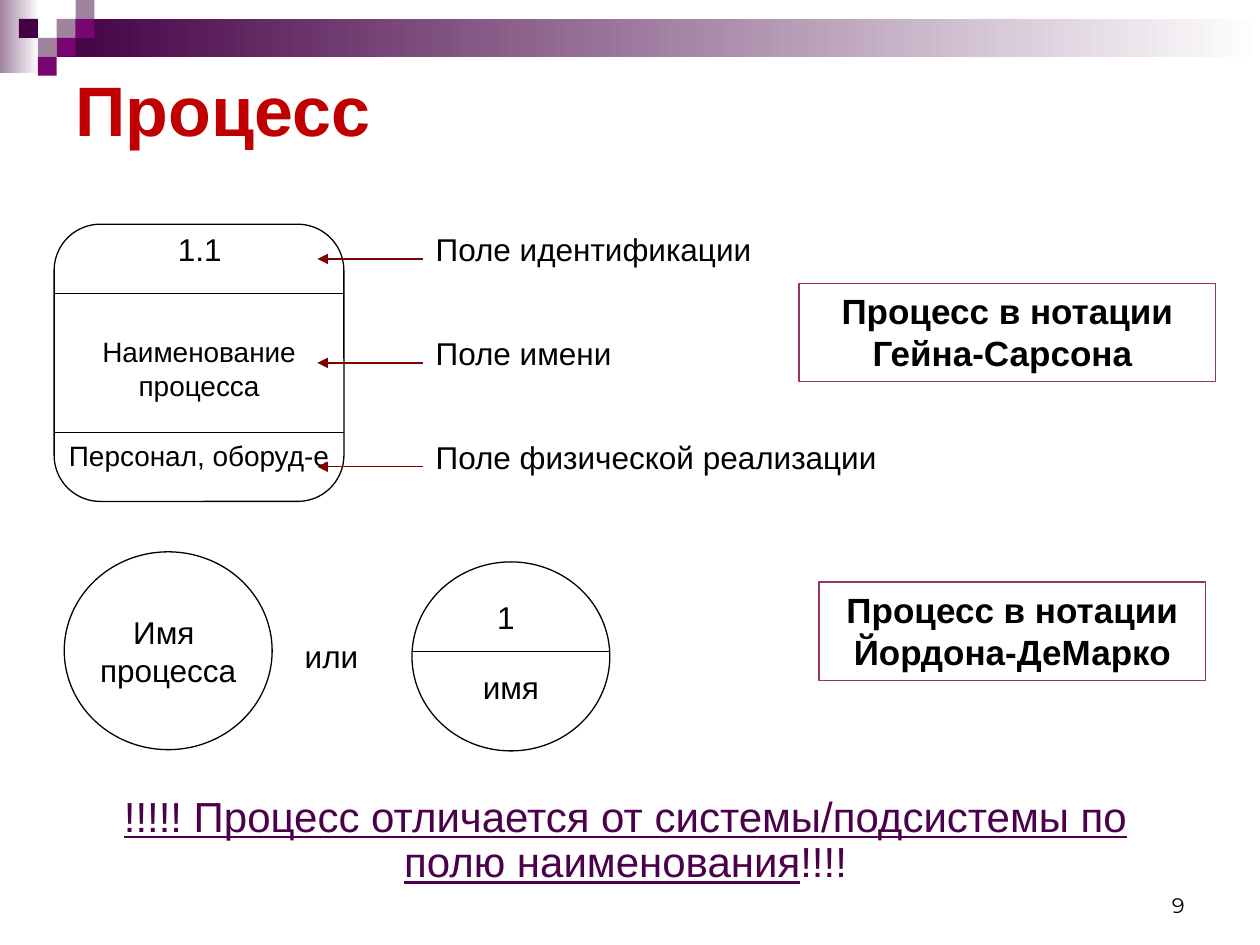
from pptx import Presentation
from pptx.dml.color import RGBColor
from pptx.enum.shapes import MSO_CONNECTOR, MSO_SHAPE
from pptx.enum.text import MSO_ANCHOR, PP_ALIGN
from pptx.util import Inches, Pt
from lxml import etree

RECT, OVAL = MSO_SHAPE.RECTANGLE, MSO_SHAPE.OVAL
ROUND = MSO_SHAPE.FLOWCHART_ALTERNATE_PROCESS
LINE = MSO_CONNECTOR.STRAIGHT
LEFT, MID, RIGHT = PP_ALIGN.LEFT, PP_ALIGN.CENTER, PP_ALIGN.RIGHT
TOP, CENTER, BOTTOM = MSO_ANCHOR.TOP, MSO_ANCHOR.MIDDLE, MSO_ANCHOR.BOTTOM
BLACK = RGBColor(0, 0, 0)
WHITE = RGBColor(0xFF, 0xFF, 0xFF)
RED = RGBColor(0xC0, 0, 0)
MAROON = RGBColor(0x80, 0, 0)
ROSE = RGBColor(0x99, 0x33, 0x66)
MAUVE = RGBColor(0x9F, 0x83, 0x9F)
PLUM = RGBColor(0x79, 0x05, 0x71)
DARK = RGBColor(0x44, 0, 0x44)
GRAPE = RGBColor(0x4C, 0, 0x4C)
NS = "http://schemas.openxmlformats.org/drawingml/2006/main"

BANDS = [((0, 0, 0.31, 0.58), MAUVE), ((0.45, 0.15, 9.55, 0.3), DARK)]
TILE = 0.15
TILES = [
    (3, 1, MAUVE), (4, 0, MAUVE), (4, 1, PLUM), (2, 2, MAUVE),
    (1, 1, DARK), (3, 2, PLUM), (2, 3, PLUM),
]
TITLE = "Процесс"
CARD = (0.43, 1.78, 2.3, 2.2)
NAME = ("Наименование процесса", (0.64, 2.61, 1.88, 0.83))
CELLS = [
    ("1.1", (1.27, 1.78, 0.63, 0.55), 18),
    ("Персонал, оборуд-е", (0.43, 3.43, 2.3, 0.55), 16),
]
FIELDS = [
    ("Поле идентификации", 3.14),
    ("Поле имени", 3.14),
    ("Поле физической реализации", 3.77),
]
FIELD_X, FIELD_Y, FIELD_GAP, FIELD_H = 3.36, 1.78, 0.825, 0.55
TIP_X = 2.52
NOTES = [
    ("Процесс в нотации Гейна-Сарсона ", (6.34, 2.25, 3.31, 0.78)),
    ("Процесс в нотации Йордона-ДеМарко", (6.5, 4.62, 3.07, 0.78)),
]
DISC = ("Имя \nпроцесса", (0.51, 4.38, 1.65, 1.57))
SPLIT = (3.27, 4.46, 1.57, 1.5)
LABELS = [
    ("1", (3.82, 4.7, 0.39, 0.4), MID),
    ("имя", (3.66, 5.25, 0.79, 0.4), MID),
    ("или", (2.32, 5.01, 0.79, 0.4), LEFT),
]
RULES = [
    (0.43, 2.73, 2.33), (0.43, 2.73, 3.43),
    (0.64, 2.52, 3.43), (3.27, 4.84, 5.17),
]
CLAIM = "!!!!! Процесс отличается от системы/подсистемы по полю наименования"
CLAIM_END = "!!!!"
CLAIM_BOX = (0.75, 6.27, 8.43, 0.82)
PAGE = ("9", (7.17, 6.83, 2.33, 0.5))

deck = Presentation()
deck.slide_width, deck.slide_height = Inches(10), Inches(7.5)
slide = deck.slides.add_slide(deck.slide_layouts[5])
shapes = slide.shapes


def place(box):
    return [Inches(n) for n in box]


def draw(kind, box, fill=None, line=None, fade=False):
    shape = shapes.add_shape(kind, *place(box))
    shape.shadow.inherit = False
    if fade:
        shape.fill.gradient()
        shape.fill.gradient_angle = 0
        for stop, color in zip(shape.fill.gradient_stops, (fill, WHITE)):
            stop.color.rgb = color
    elif fill is not None:
        shape.fill.solid()
        shape.fill.fore_color.rgb = fill
    else:
        shape.fill.background()
    if line is not None:
        shape.line.color.rgb = line
        shape.line.width = Pt(0.75)
    else:
        shape.line.fill.background()
    return shape


def rule(left, right, y, color=BLACK, arrow=False):
    link = shapes.add_connector(LINE, *place((left, y, right, y)))
    link.line.color.rgb = color
    link.line.width = Pt(0.75)
    if arrow:
        etree.SubElement(link.line._get_or_add_ln(), f"{{{NS}}}headEnd", type="triangle")
    etree.SubElement(link._element.spPr, f"{{{NS}}}effectLst")


def write(text, box=None, shape=None, size=18, font="Arial", color=BLACK, bold=False,
          align=LEFT, anchor=TOP, space=None, wrap=True, under=False, tail=""):
    shape = shape or shapes.add_textbox(*place(box))
    frame = shape.text_frame
    frame.word_wrap = wrap
    frame.vertical_anchor = anchor
    for i, part in enumerate(text.split("\n")):
        para = frame.add_paragraph() if i else frame.paragraphs[0]
        para.alignment = align
        if space:
            para.line_spacing = space
        for words, mark in ((part, under), (tail, False)):
            if words:
                run = para.add_run()
                run.text = words
                run.font.size = Pt(size)
                run.font.name = font
                run.font.bold = bold
                run.font.underline = mark
                run.font.color.rgb = color


for box, color in BANDS:
    draw(RECT, box, fill=color, fade=True)
for col, row, color in TILES:
    draw(RECT, (col * TILE, row * TILE, TILE, TILE), fill=color)

title = shapes.title
title.left, title.top, title.width, title.height = place((0.5, 0.5, 9, 0.81))
write(TITLE, shape=title, size=40, color=RED, bold=True, anchor=CENTER, space=0.9)

draw(ROUND, CARD, fill=WHITE, line=BLACK)
text, box = NAME
write(text, shape=draw(RECT, box, fill=WHITE), size=16, align=MID)
for text, box, size in CELLS:
    write(text, box, size=size, align=MID)
for i, (text, width) in enumerate(FIELDS):
    y = FIELD_Y + i * FIELD_GAP
    write(text, (FIELD_X, y, width, FIELD_H))
    rule(TIP_X, FIELD_X, y + FIELD_H / 2, color=MAROON, arrow=True)

for text, box in NOTES:
    write(text, shape=draw(RECT, box, line=ROSE), size=20, bold=True, align=MID)

text, box = DISC
write(text, shape=draw(OVAL, box, line=BLACK), align=MID, anchor=CENTER, wrap=False)
draw(OVAL, SPLIT, line=BLACK)
for left, right, y in RULES:
    rule(left, right, y)
for text, box, align in LABELS:
    write(text, box, align=align)

write(CLAIM, CLAIM_BOX, size=24, color=GRAPE, align=MID, space=0.9, under=True, tail=CLAIM_END)
text, box = PAGE
write(text, box, size=12, font="Montserrat", align=RIGHT, anchor=BOTTOM)

deck.save("out.pptx")
